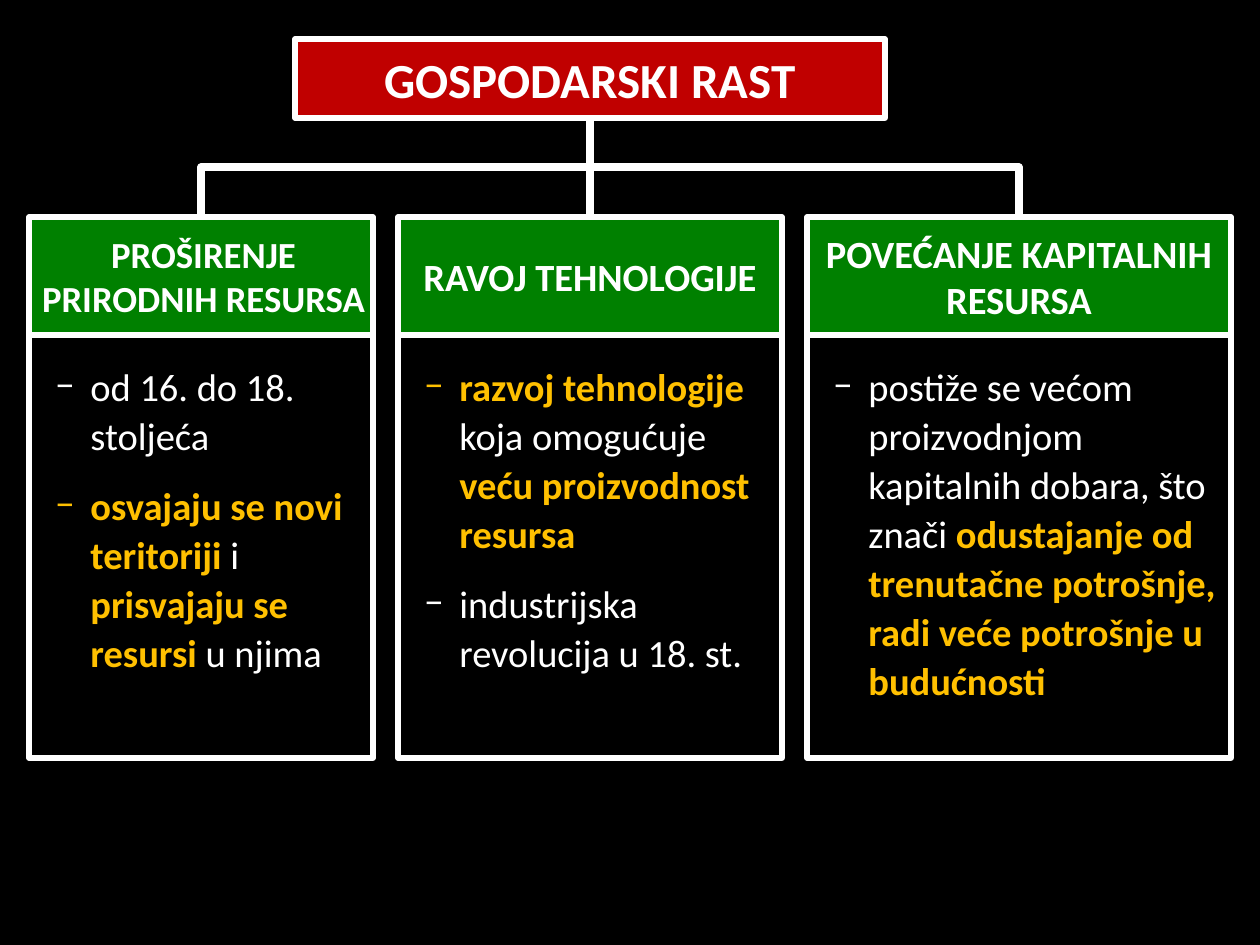
from dataclasses import dataclass
from typing import Any, Optional

from lxml.etree import SubElement
from pptx import Presentation
from pptx.dml.color import RGBColor
from pptx.enum.shapes import MSO_CONNECTOR as Connector, MSO_SHAPE as Shape
from pptx.enum.text import MSO_ANCHOR as Anchor, PP_ALIGN as Align
from pptx.oxml.ns import qn
from pptx.util import Pt

EMU_PER_PX = 914400 / 126


def px(length: float) -> int:
    return round(length * EMU_PER_PX)


@dataclass(frozen=True)
class Theme:
    font: str = "Calibri"
    background: RGBColor = RGBColor(0, 0, 0)
    light: RGBColor = RGBColor(255, 255, 255)
    accent: RGBColor = RGBColor(0xFF, 0xC0, 0x00)
    title_fill: RGBColor = RGBColor(0xC0, 0x00, 0x00)
    header_fill: RGBColor = RGBColor(0x00, 0x80, 0x00)
    title_size: int = 28
    text_size: int = 22
    tight_size: int = 21
    box_line: float = 3
    branch_line: float = 4.5


@dataclass(frozen=True)
class Box:
    left: int
    top: int
    width: int
    height: int

    @property
    def center(self) -> float:
        return self.left + self.width / 2

    @property
    def bottom(self) -> int:
        return self.top + self.height


@dataclass(frozen=True)
class Run:
    text: str
    strong: bool = False


@dataclass(frozen=True)
class Column:
    width: int
    heading: str
    points: list[list[Run]]
    tight: bool = False


THEME = Theme()
TITLE = Box(295, 39, 590, 79)
FIRST_LEFT, COLUMN_GAP = 29, 25
HEADER_TOP, HEADER_HEIGHT, BODY_HEIGHT = 217, 118, 423

COLUMNS = [
    Column(344, "PROŠIRENJE PRIRODNIH RESURSA", [
        [Run("od 16. do 18. stoljeća")],
        [Run("osvajaju se novi teritoriji ", True), Run("i "),
         Run("prisvajaju se resursi ", True), Run("u njima")],
    ], tight=True),
    Column(384, "RAVOJ TEHNOLOGIJE", [
        [Run("razvoj tehnologije ", True), Run("koja omogućuje "),
         Run("veću proizvodnost resursa", True)],
        [Run("industrijska revolucija u 18. st.")],
    ]),
    Column(424, "POVEĆANJE KAPITALNIH RESURSA", [
        [Run("postiže se većom proizvodnjom kapitalnih dobara, što znači "),
         Run("odustajanje od trenutačne potrošnje, "
             "radi veće potrošnje u budućnosti", True)],
    ]),
]


def apply_format(target: Any, values: dict[str, Any]) -> None:
    for name, value in values.items():
        setattr(target, name, value)


def add_run(paragraph: Any, run: Run, size: int, bold: bool) -> None:
    text_run = paragraph.add_run()
    text_run.text = run.text
    apply_format(text_run.font, {"name": THEME.font, "size": Pt(size), "bold": bold})
    text_run.font.color.rgb = THEME.accent if run.strong else THEME.light


def add_box(slide: Any, box: Box, fill: Optional[RGBColor]) -> Any:
    shape = slide.shapes.add_shape(
        Shape.RECTANGLE, px(box.left), px(box.top), px(box.width), px(box.height))
    shape.shadow.inherit = False
    if fill is None:
        shape.fill.background()
    else:
        shape.fill.solid()
        shape.fill.fore_color.rgb = fill
    shape.line.color.rgb = THEME.light
    shape.line.width = Pt(THEME.box_line)
    shape.text_frame.word_wrap = True
    return shape


def add_heading(slide: Any, box: Box, text: str, fill: RGBColor, size: int) -> Any:
    shape = add_box(slide, box, fill)
    shape.text_frame.vertical_anchor = Anchor.MIDDLE
    paragraph = shape.text_frame.paragraphs[0]
    paragraph.alignment = Align.CENTER
    add_run(paragraph, Run(text), size, bold=True)
    return shape


def add_body(slide: Any, box: Box, points: list[list[Run]]) -> None:
    frame = add_box(slide, box, None).text_frame
    apply_format(frame, {"vertical_anchor": Anchor.TOP, "margin_top": px(25)})
    for index, runs in enumerate(points):
        paragraph = frame.add_paragraph() if index else frame.paragraphs[0]
        apply_format(paragraph, {
            "alignment": Align.LEFT,
            "line_spacing": Pt(28),
            "space_before": Pt(12 if index else 0),
        })
        properties = paragraph._p.get_or_add_pPr()
        properties.set("marL", str(px(49)))
        properties.set("indent", str(px(-35)))
        SubElement(properties, qn("a:buFont"), typeface=THEME.font)
        SubElement(properties, qn("a:buChar"), char="−")
        for run in runs:
            add_run(paragraph, run, THEME.text_size, run.strong)


def turn_elbow(connector: Any, start: Box, end: Box) -> None:
    """Turn an elbow so that it leaves downwards and bends halfway."""
    drop, reach = end.top - start.bottom, abs(end.center - start.center)
    middle_x = (start.center + end.center) / 2
    middle_y = (start.bottom + end.top) / 2
    apply_format(connector, {
        "left": px(middle_x - drop / 2),
        "top": px(middle_y - reach / 2),
        "width": px(drop),
        "height": px(reach),
    })
    to_right = end.center > start.center
    transform = connector._element.spPr.find(qn("a:xfrm"))
    transform.set("rot", str((270 if to_right else 90) * 60000))
    transform.set("flipH", "1" if to_right else "0")
    transform.set("flipV", "0")


def add_branch(slide: Any, parent: Any, child: Any, start: Box, end: Box) -> None:
    straight = start.center == end.center
    connector = slide.shapes.add_connector(
        Connector.STRAIGHT if straight else Connector.ELBOW,
        px(start.center), px(start.bottom), px(end.center), px(end.top))
    connector.begin_connect(parent, 2)
    connector.end_connect(child, 0)
    if not straight:
        turn_elbow(connector, start, end)
    connector.line.color.rgb = THEME.light
    connector.line.width = Pt(THEME.branch_line)
    SubElement(connector._element.spPr, qn("a:effectLst"))


def main() -> None:
    presentation = Presentation()
    apply_format(presentation, {"slide_width": px(1260), "slide_height": px(945)})
    slide = presentation.slides.add_slide(presentation.slide_layouts[6])
    slide.background.fill.solid()
    slide.background.fill.fore_color.rgb = THEME.background

    title = add_heading(slide, TITLE, "GOSPODARSKI RAST", THEME.title_fill, THEME.title_size)
    headers = []
    left = FIRST_LEFT
    for column in COLUMNS:
        header_box = Box(left, HEADER_TOP, column.width, HEADER_HEIGHT)
        size = THEME.tight_size if column.tight else THEME.text_size
        header = add_heading(slide, header_box, column.heading, THEME.header_fill, size)
        if column.tight:
            apply_format(header.text_frame, {"margin_left": px(5), "margin_right": 0})
        add_body(slide, Box(left, header_box.bottom, column.width, BODY_HEIGHT), column.points)
        headers.append((header, header_box))
        left += column.width + COLUMN_GAP

    for header, header_box in headers:
        add_branch(slide, title, header, TITLE, header_box)
    presentation.save("out.pptx")


if __name__ == "__main__":
    main()
